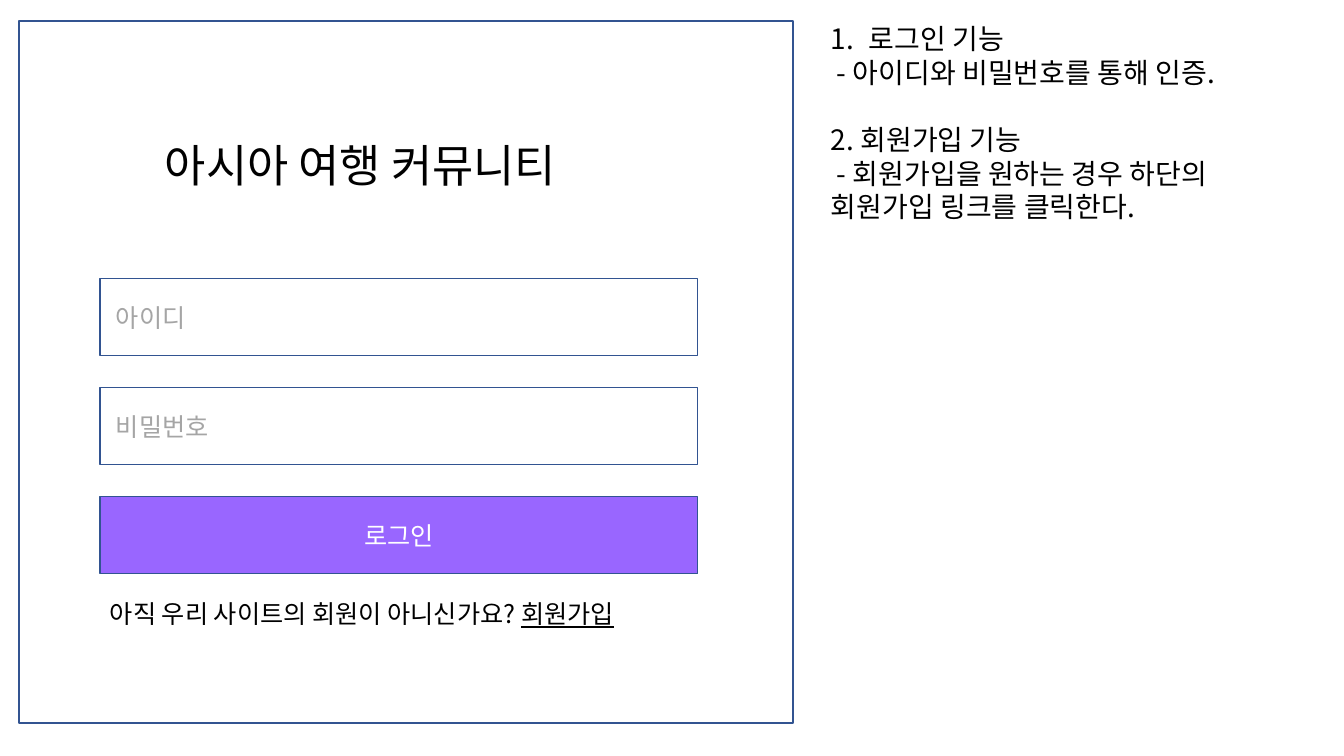
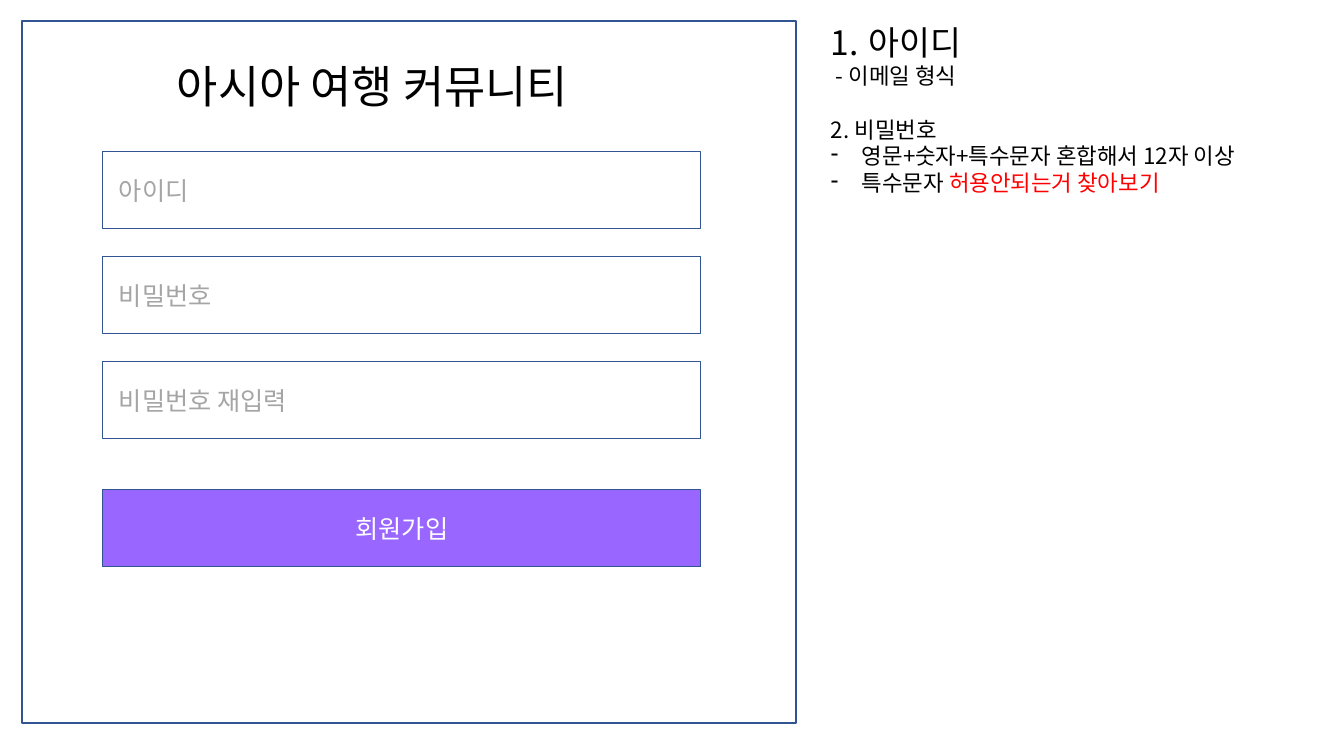
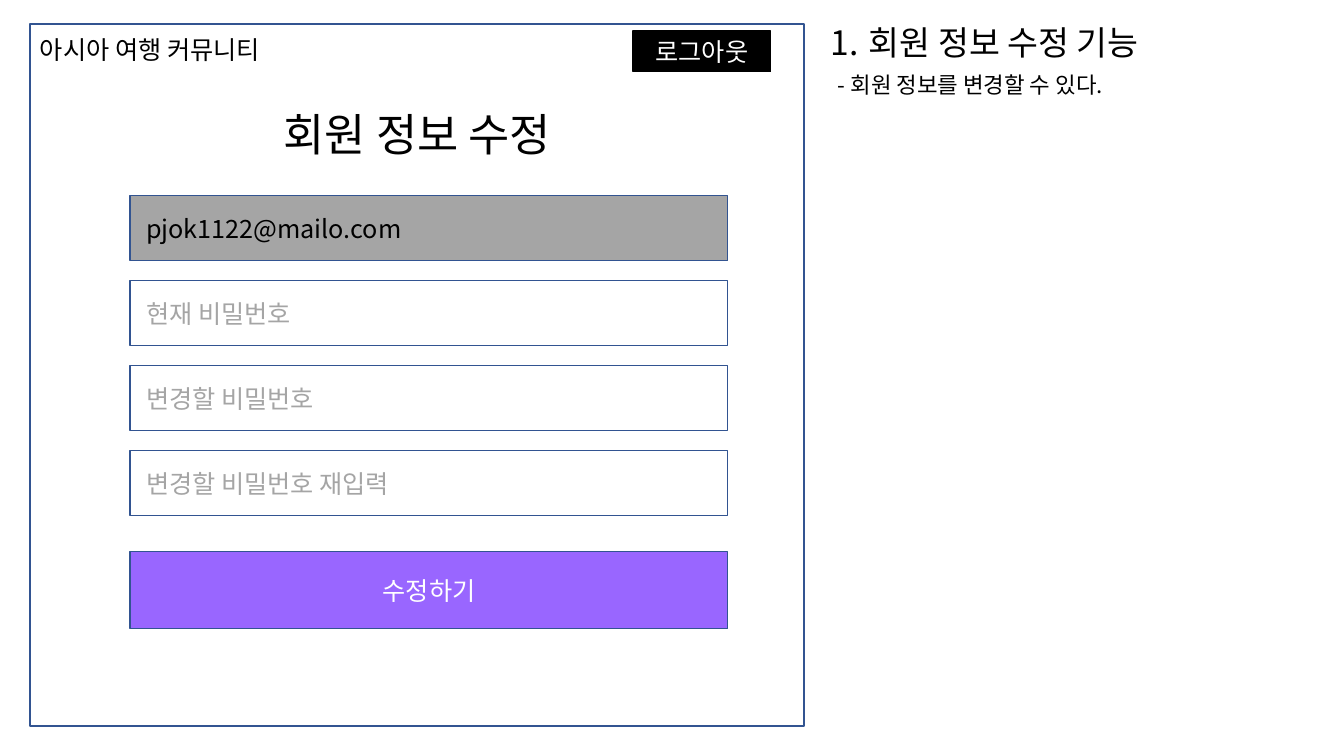
from dataclasses import dataclass
from lxml.etree import SubElement
from pptx import Presentation
from pptx.dml.color import RGBColor
from pptx.enum.shapes import MSO_SHAPE
from pptx.enum.text import MSO_ANCHOR, PP_ALIGN
from pptx.oxml.ns import qn
from pptx.util import Emu, Pt

PX = 914400 / 100.8
FONT = "Noto Sans CJK KR"
BLACK, WHITE, GRAY = "000000", "FFFFFF", "A5A5A5"
BLUE, PURPLE, RED = "325491", "9966FF", "FF0000"
SITE = "아시아 여행 커뮤니티"
FRAME_SIZE = (774, 702)
CONTROL_WIDTH, BUTTON_HEIGHT = 598, 77
NOTES_LEFT, NOTES_TOP, NOTES_WIDTH = 821, 17, 488


@dataclass
class Line:
    """A paragraph; its accent is a closing run in another colour or underlined."""
    text: str
    size: int = 18
    color: str = BLACK
    centered: bool = False
    bullet: str = ""
    hang: int = 0
    first: int = 0
    before: int = 0
    accent: str = ""
    accent_color: str = ""


SCREENS = [
    {
        "frame": (19, 21),
        "texts": [
            ((155, 133, 512, 65), Line(SITE, 32)),
            ((100, 593, 598, 40),
             Line("아직 우리 사이트의 회원이 아니신가요? ", accent="회원가입")),
        ],
        "fields": ["아이디", "비밀번호"],
        "field_start": (100, 279), "field_height": 77, "field_pitch": 109,
        "button": ("로그인", 497),
        "notes_height": 214,
        "notes": [
            Line("로그인 기능", 20, bullet="1.", hang=38),
            Line("- 아이디와 비밀번호를 통해 인증.", 20, first=6),
            Line("2. 회원가입 기능", 20, before=24),
            Line("- 회원가입을 원하는 경우 하단의 회원가입 링크를 클릭한다.", 20, first=6),
        ],
    },
    {
        "frame": (22, 21),
        "texts": [((167, 54, 512, 65), Line(SITE, 32))],
        "fields": ["아이디", "비밀번호", "비밀번호 재입력"],
        "field_start": (103, 152), "field_height": 77, "field_pitch": 105,
        "button": ("회원가입", 490),
        "notes_height": 186,
        "notes": [
            Line("아이디", 24, bullet="1.", hang=38),
            Line("- 이메일 형식", 16, first=5),
            Line("2. 비밀번호", 16, before=19),
            Line("영문+숫자+특수문자 혼합해서 12자 이상", 16, bullet="-", hang=31),
            Line("특수문자 ", 16, bullet="-", hang=31,
                 accent="허용안되는거 찾아보기", accent_color=RED),
        ],
    },
    {
        "frame": (30, 24),
        "texts": [
            ((30, 29, 268, 40), Line(SITE)),
            ((256, 102, 323, 65), Line("회원 정보 수정", 32, centered=True)),
        ],
        "fields": ["pjok1122@mailo.com", "현재 비밀번호", "변경할 비밀번호",
                   "변경할 비밀번호 재입력"],
        "filled_fields": 1,
        "field_start": (130, 196), "field_height": 65, "field_pitch": 85,
        "button": ("수정하기", 552),
        "logout": ("로그아웃", (633, 31, 138, 41)),
        "notes_height": 92,
        "notes": [
            Line("회원 정보 수정 기능", 24, bullet="1.", hang=38),
            Line("- 회원 정보를 변경할 수 있다.", 16, first=7, before=6),
        ],
    },
]


def px(length):
    return Emu(round(length * PX))


def rgb(color):
    return RGBColor.from_string(color)


def write(frame, lines):
    frame.word_wrap = True
    for number, line in enumerate(lines):
        para = frame.add_paragraph() if number else frame.paragraphs[0]
        para.alignment = PP_ALIGN.CENTER if line.centered else PP_ALIGN.LEFT
        para.space_before = Pt(line.before)
        properties = para._p.get_or_add_pPr()
        properties.set("marL", str(px(line.hang)))
        properties.set("indent", str(px(line.first - line.hang)))
        if line.bullet == "1.":
            SubElement(properties, qn("a:buAutoNum"), type="arabicPeriod")
        elif line.bullet:
            SubElement(properties, qn("a:buChar"), char=line.bullet)
        else:
            SubElement(properties, qn("a:buNone"))
        para.font.size = Pt(line.size)
        para.font.color.rgb = rgb(line.color)
        para.font.name = FONT
        SubElement(properties.find(qn("a:defRPr")), qn("a:ea"), typeface=FONT)
        para.add_run().text = line.text
        if line.accent:
            span = para.add_run()
            span.text = line.accent
            if line.accent_color:
                span.font.color.rgb = rgb(line.accent_color)
            else:
                span.font.underline = True


def add_text(page, place, lines):
    write(page.shapes.add_textbox(*map(px, place)).text_frame, lines)


def add_box(page, place, fill=WHITE, line_color=BLUE, line_width=0.75):
    box = page.shapes.add_shape(MSO_SHAPE.RECTANGLE, *map(px, place))
    box.shadow.inherit = False
    box.fill.solid()
    box.fill.fore_color.rgb = rgb(fill)
    box.line.color.rgb = rgb(line_color)
    box.line.width = Pt(line_width)
    return box


def add_control(page, place, line, fill=WHITE, line_color=BLUE):
    """Draw a form field or button with its label."""
    box = add_box(page, place, fill, line_color)
    box.text_frame.vertical_anchor = MSO_ANCHOR.MIDDLE
    if not line.centered:
        box.text_frame.margin_left = px(16)
    write(box.text_frame, [line])


def add_screen(deck, screen):
    page = deck.slides.add_slide(deck.slide_layouts[6])
    add_box(page, (*screen["frame"], *FRAME_SIZE), line_width=1)
    for place, line in screen["texts"]:
        add_text(page, place, [line])

    left, top = screen["field_start"]
    for row, label in enumerate(screen["fields"]):
        filled = row < screen.get("filled_fields", 0)
        place = (left, top + row * screen["field_pitch"],
                 CONTROL_WIDTH, screen["field_height"])
        add_control(page, place, Line(label, color=BLACK if filled else GRAY),
                    GRAY if filled else WHITE)

    label, button_top = screen["button"]
    add_control(page, (left, button_top, CONTROL_WIDTH, BUTTON_HEIGHT),
                Line(label, color=WHITE, centered=True), PURPLE)
    if "logout" in screen:
        label, place = screen["logout"]
        add_control(page, place, Line(label, color=WHITE, centered=True), BLACK, BLACK)

    add_text(page, (NOTES_LEFT, NOTES_TOP, NOTES_WIDTH, screen["notes_height"]),
             screen["notes"])


def main():
    deck = Presentation()
    deck.slide_width, deck.slide_height = px(1344), px(756)
    for screen in SCREENS:
        add_screen(deck, screen)
    deck.save("out.pptx")


if __name__ == "__main__":
    main()
